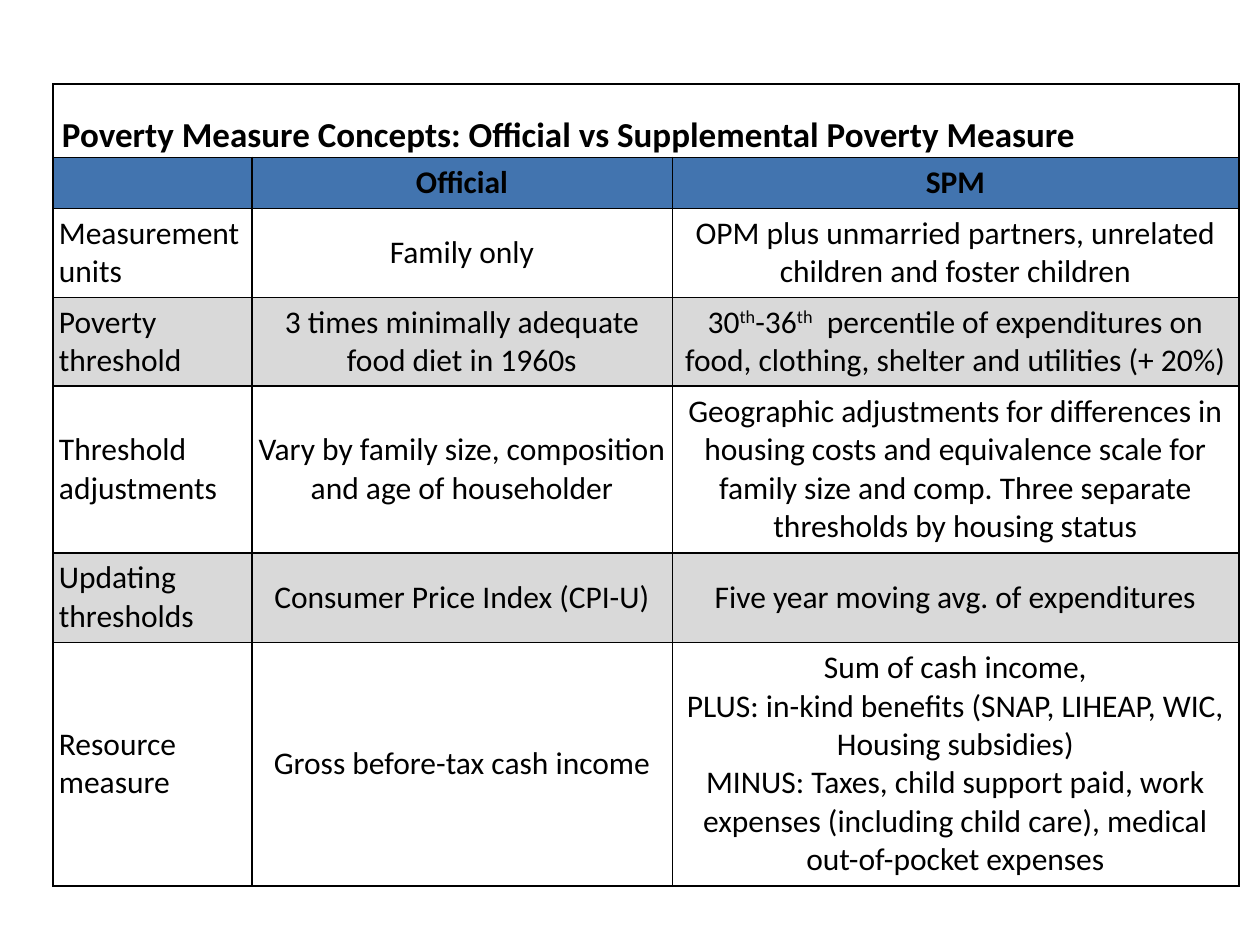
from lxml.etree import SubElement
from pptx import Presentation
from pptx.dml.color import RGBColor
from pptx.enum.text import MSO_ANCHOR as Anchor, PP_ALIGN as Align
from pptx.oxml.ns import qn
from pptx.util import Emu, Pt

PX = 914400 // 126
COLORS = {"text": "000000", "header": "4274AF", "band": "D9D9D9", "plain": "FFFFFF"}
FONT = "Calibri"
COLUMN_WIDTHS = [199, 420, 567]
ROW_HEIGHTS = [73, 51, 89, 89, 167, 89, 244]
VERTICAL_RULES = [1, 1, 0.5, 1]
HORIZONTAL_RULES = [1, 0.5, 0.5, 0.5, 1, 1, 0.5, 1]
TITLE = "Poverty Measure Concepts: Official vs Supplemental Poverty Measure"
HEADERS = ["", "Official", "SPM"]
CONCEPTS = [
    ["Measurement units", "Family only",
     "OPM plus unmarried partners, unrelated children and foster children"],
    ["Poverty threshold", "3 times minimally adequate food diet in 1960s",
     "30^th^-36^th^  percentile of expenditures on food, clothing, shelter and utilities (+ 20%)"],
    ["Threshold adjustments", "Vary by family size, composition and age of householder",
     "Geographic adjustments for differences in housing costs and equivalence scale for "
     "family size and comp. Three separate thresholds by housing status"],
    ["Updating thresholds", "Consumer Price Index (CPI-U)",
     "Five year moving avg. of expenditures"],
    ["Resource measure", "Gross before-tax cash income",
     "Sum of cash income,\n"
     "PLUS: in-kind benefits (SNAP, LIHEAP, WIC, Housing subsidies)\n"
     "MINUS: Taxes, child support paid, work expenses (including child care), "
     "medical out-of-pocket expenses"],
]


def px(value):
    return Emu(value * PX)


def color(name):
    return RGBColor.from_string(COLORS[name])


def add_table(slide):
    frame = slide.shapes.add_table(
        len(ROW_HEIGHTS), len(COLUMN_WIDTHS),
        px(53), px(84), px(sum(COLUMN_WIDTHS)), px(sum(ROW_HEIGHTS)))
    table = frame.table
    for column, width in zip(table.columns, COLUMN_WIDTHS):
        column.width = px(width)
    for row, height in zip(table.rows, ROW_HEIGHTS):
        row.height = px(height)
    table.first_row = False
    table.horz_banding = False
    return table


def set_borders(cell, row, column):
    properties = cell._tc.get_or_add_tcPr()
    widths = {
        "a:lnL": VERTICAL_RULES[column],
        "a:lnR": VERTICAL_RULES[column + 1],
        "a:lnT": HORIZONTAL_RULES[row],
        "a:lnB": HORIZONTAL_RULES[row + 1],
    }
    for tag, width in widths.items():
        line = SubElement(properties, qn(tag), w=str(Pt(width)))
        fill = SubElement(line, qn("a:solidFill"))
        SubElement(fill, qn("a:srgbClr"), val=COLORS["text"])


def set_fill(cell, name):
    cell.fill.solid()
    cell.fill.fore_color.rgb = color(name)


def set_margins(cell, left, top, right, bottom):
    cell.margin_left, cell.margin_top = px(left), px(top)
    cell.margin_right, cell.margin_bottom = px(right), px(bottom)


def write_cell(cell, text, size=18, bold=False, align=Align.CENTER, anchor=Anchor.MIDDLE):
    cell.vertical_anchor = anchor
    for index, line in enumerate(text.split("\n")):
        frame = cell.text_frame
        paragraph = frame.add_paragraph() if index else frame.paragraphs[0]
        paragraph.alignment = align
        for position, part in enumerate(line.split("^")):
            run = paragraph.add_run()
            run.text = part
            run.font.name = FONT
            run.font.size = Pt(size)
            run.font.bold = bold
            run.font.color.rgb = color("text")
            if position % 2:
                run.font._element.set("baseline", "30000")


def fill_title(table):
    cell = table.cell(0, 0)
    cell.merge(table.cell(0, len(COLUMN_WIDTHS) - 1))
    set_margins(cell, 9, 1, 1, 0)
    write_cell(cell, TITLE, 20, True, Align.LEFT, Anchor.BOTTOM)


def fill_headers(table):
    for column, text in enumerate(HEADERS):
        cell = table.cell(1, column)
        set_margins(cell, 1, 1, 1, 0)
        set_fill(cell, "header")
        write_cell(cell, text, bold=True)


def fill_concepts(table):
    for row, texts in enumerate(CONCEPTS, 2):
        for column, text in enumerate(texts):
            cell = table.cell(row, column)
            set_margins(cell, 6, 6, 6, 6)
            set_fill(cell, "band" if row % 2 else "plain")
            write_cell(cell, text, align=Align.CENTER if column else Align.LEFT)


def main():
    presentation = Presentation()
    presentation.slide_width, presentation.slide_height = px(1260), px(945)
    slide = presentation.slides.add_slide(presentation.slide_layouts[6])
    table = add_table(slide)
    for row in range(len(ROW_HEIGHTS)):
        for column in range(len(COLUMN_WIDTHS)):
            cell = table.cell(row, column)
            set_borders(cell, row, column)
            set_fill(cell, "plain")
    fill_title(table)
    fill_headers(table)
    fill_concepts(table)
    presentation.save("out.pptx")


if __name__ == "__main__":
    main()
